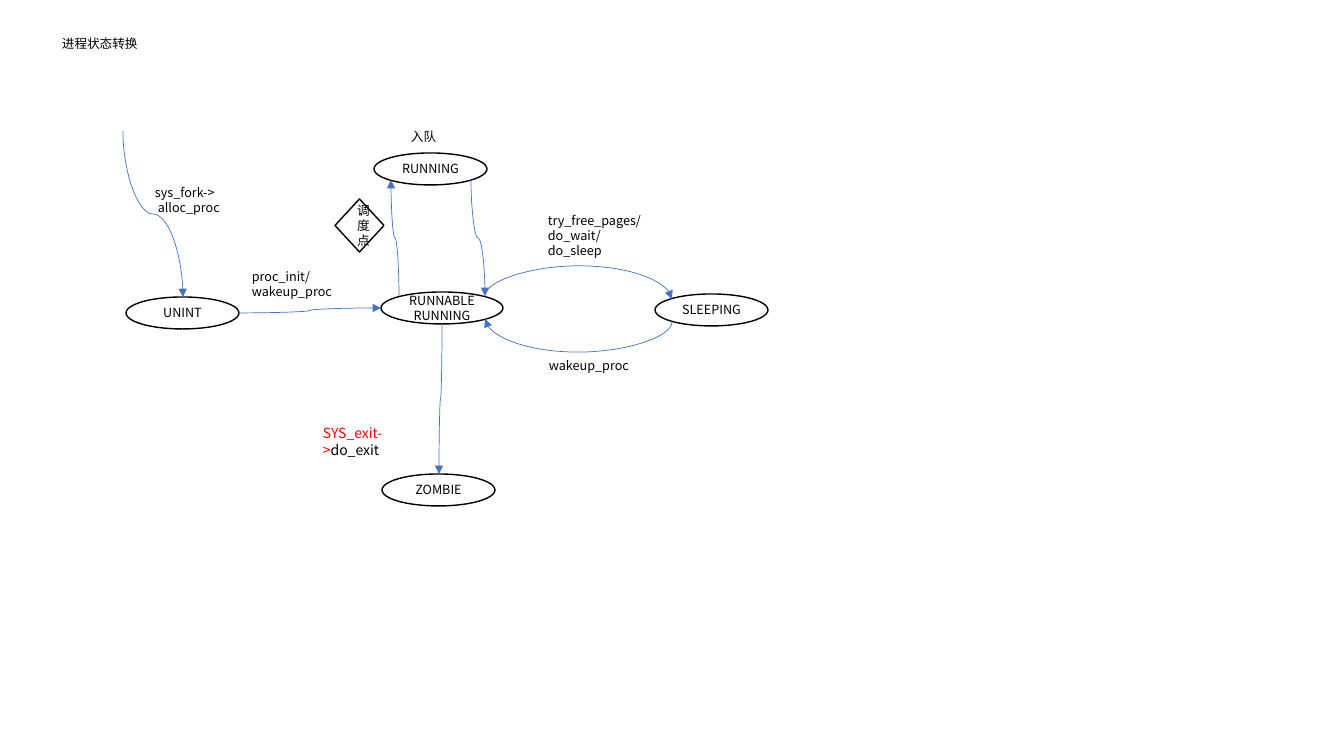
from dataclasses import dataclass

from lxml import etree
from pptx import Presentation
from pptx.dml.color import RGBColor
from pptx.enum.shapes import MSO_CONNECTOR, MSO_SHAPE
from pptx.enum.text import MSO_ANCHOR, PP_ALIGN
from pptx.oxml.ns import qn
from pptx.util import Pt

ELLIPSE, DIAMOND = MSO_SHAPE.OVAL, MSO_SHAPE.DIAMOND
CURVE = MSO_CONNECTOR.CURVE
MIDDLE, CENTER = MSO_ANCHOR.MIDDLE, PP_ALIGN.CENTER
PX = 914400 / 100.8


@dataclass(frozen=True)
class Theme:
    ink: RGBColor = RGBColor(0, 0, 0)
    alert: RGBColor = RGBColor(0xFF, 0, 0)
    arrow: RGBColor = RGBColor(0x44, 0x72, 0xC4)
    title_font: str = "Arial"
    font: str = "Noto Sans CJK SC"
    size: float = 9
    exit_size: float = 10
    outline: float = 1
    arrow_width: float = 0.5


THEME = Theme()


def emu(*lengths):
    return [round(v * PX) for v in lengths]


def write(tf, lines, size=THEME.size, font=THEME.font, align=None):
    """Each line is a list of (text, colour) runs."""
    tf.word_wrap = True
    for i, runs in enumerate(lines):
        p = tf.paragraphs[0] if i == 0 else tf.add_paragraph()
        p.alignment = align
        p.font.size, p.font.name = Pt(size), font
        for text, color in runs:
            r = p.add_run()
            r.text = text
            r.font.color.rgb = color
            ea = etree.SubElement(r._r.get_or_add_rPr(), qn("a:ea"))
            ea.set("typeface", THEME.font)


def plain(text):
    return [[(line, THEME.ink)] for line in text.split("\n")]


def add_label(s, box, lines, **style):
    sp = s.shapes.add_textbox(*emu(*box))
    write(sp.text_frame, lines, **style)


def add_node(s, kind, box, text):
    sp = s.shapes.add_shape(kind, *emu(*box))
    sp.shadow.inherit = False
    sp.fill.background()
    sp.line.color.rgb = THEME.ink
    sp.line.width = Pt(THEME.outline)
    sp.text_frame.vertical_anchor = MIDDLE
    write(sp.text_frame, plain(text), align=CENTER)


def add_curve(s, x1, y1, x2, y2, bend=None, upright=True):
    """Curved arrow; an upright one leaves and arrives vertically, turning at y = bend."""
    cx = s.shapes.add_connector(CURVE, *emu(x1, y1, x2, y2))
    cx.line.color.rgb = THEME.arrow
    cx.line.width = Pt(THEME.arrow_width)
    spPr = cx._element.spPr
    etree.SubElement(spPr.find(qn("a:ln")), qn("a:tailEnd")).set("type", "triangle")
    etree.SubElement(spPr, qn("a:effectLst"))
    if not upright:
        return
    # A quarter turn swaps width and height about the same centre
    w, h = abs(y2 - y1), abs(x2 - x1)
    cx.left, cx.top, cx.width, cx.height = emu(
        (x1 + x2 - w) / 2, (y1 + y2 - h) / 2, w, h)
    right, up = x2 > x1, y2 < y1
    turn = 270 if right or up else 90
    xfrm = spPr.find(qn("a:xfrm"))
    xfrm.set("rot", str(turn * 60000))
    xfrm.set("flipH", str(int(up != (turn == 270))))
    xfrm.set("flipV", str(int(right != (turn == 270))))
    if bend is not None:
        gd = etree.SubElement(spPr.find(qn("a:prstGeom")).find(qn("a:avLst")), qn("a:gd"))
        gd.set("name", "adj1")
        gd.set("fmla", f"val {round((bend - y1) / (y2 - y1) * 100000)}")


def build_title(s, x, y, w, h):
    add_label(s, (x, y, w, h), plain("进程状态转换"), font=THEME.title_font)


def build_states(s, x, y):
    states = [
        (6, 177, 113, "UNINT"),
        (535, 174, 113, "SLEEPING"),
        (254, 33, 113, "RUNNING"),
        (261, 172, 122, "RUNNABLE\nRUNNING"),
        (262, 354, 113, "ZOMBIE"),
    ]
    for dx, dy, w, text in states:
        add_node(s, ELLIPSE, (x + dx, y + dy, w, 32), text)
    # Scheduling point
    add_node(s, DIAMOND, (x + 215, y + 79, 49, 53), "调度点")


def build_transitions(s, x, y):
    # Arrows between states
    add_curve(s, x + 119, y + 193, x + 261, y + 188, upright=False)
    curves = [
        (3, 11, 63, 177, None),
        (322, 204, 319, 354, None),
        (279, 176, 271, 60, None),
        (351, 60, 365, 176, None),
        (365, 176, 552, 179, 146),
        (552, 202, 365, 199, 232),
    ]
    for x1, y1, x2, y2, bend in curves:
        add_curve(s, x + x1, y + y1, x + x2, y + y2,
                  None if bend is None else y + bend)

    # Calls that cause each change
    labels = [
        (25, 60, 116, 40, "sys_fork->\n alloc_proc"),
        (122, 144, 106, 40, "proc_init/\nwakeup_proc"),
        (418, 88, 122, 56, "try_free_pages/\ndo_wait/\ndo_sleep"),
        (419, 233, 103, 25, "wakeup_proc"),
        (281, 4, 84, 25, "入队"),
    ]
    for dx, dy, w, h, text in labels:
        add_label(s, (x + dx, y + dy, w, h), plain(text))
    add_label(s, (x + 193, y + 300, 129, 27),
              [[("SYS_exit->", THEME.alert), ("do_exit", THEME.ink)]],
              size=THEME.exit_size)


prs = Presentation()
prs.slide_width, prs.slide_height = emu(1344, 756)
s = prs.slides.add_slide(prs.slide_layouts[6])
build_title(s, 52, 31, 178, 25)
build_states(s, 120, 120)
build_transitions(s, 120, 120)
prs.save("out.pptx")
